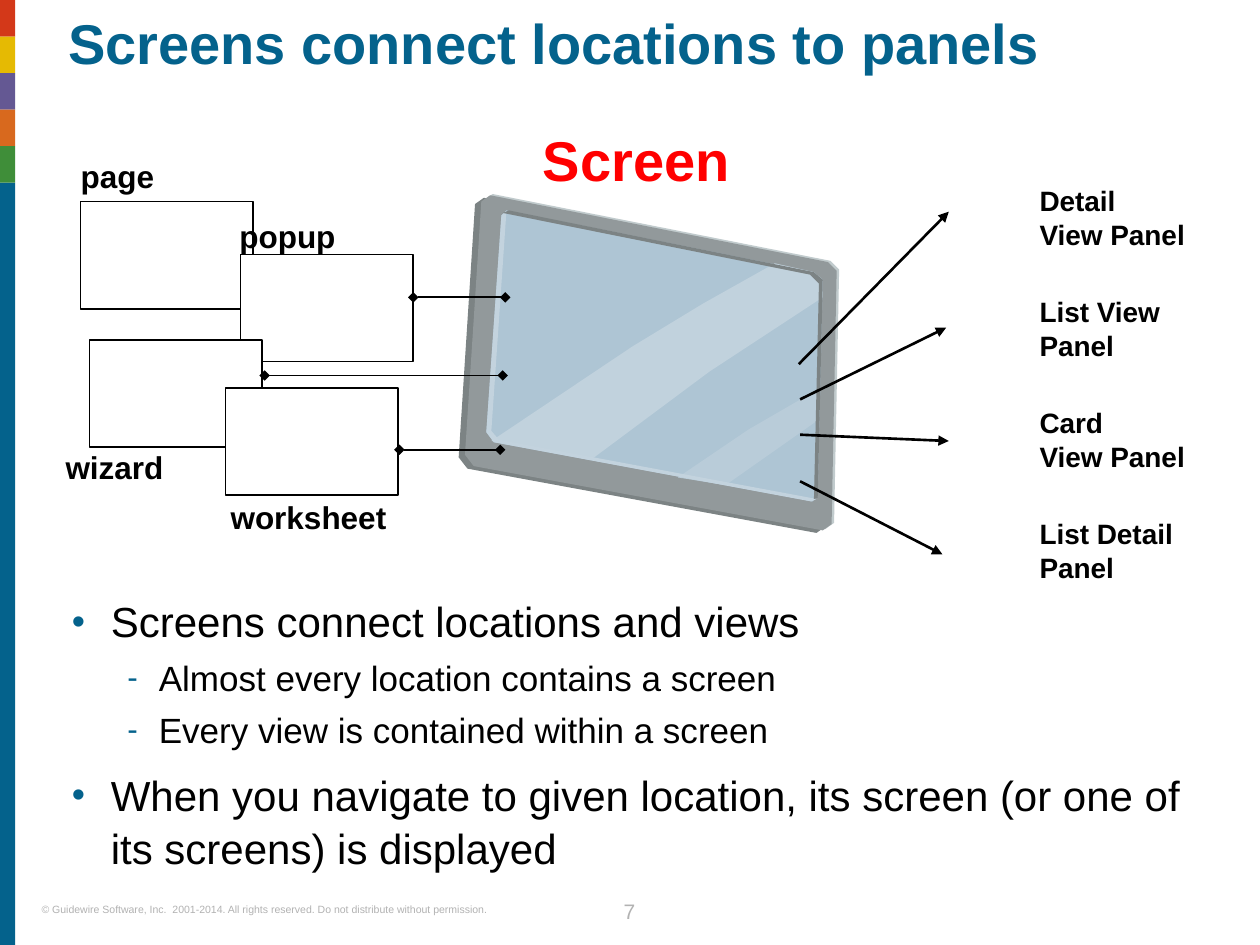
import pptx
import pptx.util
import pptx.dml.color
import pptx.enum.shapes
import pptx.enum.text
import pptx.oxml.ns
import lxml.etree

Inches = pptx.util.Inches
Pt = pptx.util.Pt
RGB = pptx.dml.color.RGBColor
ALIGN = pptx.enum.text.PP_ALIGN
qn = pptx.oxml.ns.qn

BLACK = RGB.from_string("000000")
WHITE = RGB.from_string("FFFFFF")
RED = RGB.from_string("FF0000")
GRAY = RGB.from_string("B2B2B2")
BLUE = RGB.from_string("04628C")
STRIPES = [RGB.from_string(c) for c in ("D33819", "E5BA03", "645893", "D8691E", "3F8E39")]
DARK_FRAME = RGB.from_string("7C8384")
FRAME = RGB.from_string("92999B")
FRAME_EDGE = RGB.from_string("C1CBCD")
GLASS = RGB.from_string("AEC5D4")
WIDE_GLARE = RGB.from_string("C1D2DD")
SMALL_GLARE = RGB.from_string("B9CCD9")
GLASS_EDGE = RGB.from_string("C3D3DE")

CASE = [(3.71, 3.6), (3.78, 3.69), (6.55, 4.2), (6.62, 4.15),
        (6.66, 2.14), (6.59, 2.07), (3.91, 1.54), (3.84, 1.59)]
CASE_LAYERS = [(DARK_FRAME, -0.07, 0.03), (FRAME_EDGE, 0, 0), (FRAME, -0.02, 0.01)]
SCREEN_PARTS = [
    (GLASS, [(3.86, 3.43), (3.92, 3.51), (6.45, 3.98), (6.49, 3.93),
             (6.53, 2.22), (6.46, 2.16), (4.02, 1.67), (3.98, 1.71)]),
    (WIDE_GLARE, [(6.15, 2.09), (5.58, 2.41), (5.02, 2.75), (3.9, 3.5), (4.69, 3.65),
                  (5.63, 2.95), (6.53, 2.36), (6.53, 2.22), (6.46, 2.16)]),
    (SMALL_GLARE, [(6.5, 3.33), (6.51, 3.08), (5.94, 3.41), (5.38, 3.79), (5.76, 3.85)]),
    (GLASS_EDGE, [(4.02, 1.67), (3.9, 3.42), (3.96, 3.49), (6.48, 3.96),
                  (6.44, 3.98), (3.92, 3.51), (3.86, 3.43), (3.98, 1.71)]),
    (DARK_FRAME, [(6.46, 3.96), (6.5, 2.25), (6.43, 2.18), (3.99, 1.69),
                  (4.04, 1.67), (6.46, 2.16), (6.53, 2.22), (6.49, 3.95)]),
]

LOCATION_BOXES = [(0.64, 1.6), (1.91, 2.02), (0.71, 2.7), (1.79, 3.08)]
LOCATION_LABELS = [("page", 0.64, 1.25), ("popup", 1.9, 1.72),
                   ("wizard", 0.52, 3.56), ("worksheet", 1.83, 3.95)]
LOCATION_LINKS = [(3.28, 4.01, 2.36), (2.1, 3.99, 2.98), (3.17, 3.97, 3.57)]
PANELS = ["Detail\nView Panel", "List View Panel", "Card\nView Panel", "List Detail Panel"]
PANEL_ARROWS = [(6.34, 2.89, 7.53, 1.68), (6.35, 3.45, 7.53, 3.5),
                (6.35, 3.17, 7.51, 2.6), (6.35, 3.82, 7.48, 4.4)]
BULLETS = [
    (0, "Screens connect locations and views"),
    (1, "Almost every location contains a screen"),
    (1, "Every view is contained within a screen"),
    (0, "When you navigate to given location, its screen (or one of its screens) is displayed"),
]
LEVELS = [("•", 24, 9.5, 0.31, 0.31), ("-", 20, 4.6, 0.69, 0.25)]


def add_run(p, text, size, color, bold=False):
    r = p.add_run()
    r.text = text
    r.font.name = "Arial"
    r.font.size = Pt(size)
    r.font.bold = bold
    r.font.color.rgb = color


def place(sp, x, y, w, h):
    sp.left, sp.top, sp.width, sp.height = (Inches(v) for v in (x, y, w, h))


def clear_frame(sp):
    tf = sp.text_frame
    tf.margin_left = tf.margin_right = tf.margin_top = tf.margin_bottom = 0
    tf.word_wrap = True
    tf.auto_size = pptx.enum.text.MSO_AUTO_SIZE.NONE
    tf.vertical_anchor = pptx.enum.text.MSO_ANCHOR.TOP
    return tf


def add_label(s, text, x, y, w, h, size, color=BLACK, bold=True):
    sp = s.shapes.add_textbox(Inches(x), Inches(y), Inches(w), Inches(h))
    p = clear_frame(sp).paragraphs[0]
    for i, line in enumerate(text.split("\n")):
        if i:
            p.add_line_break()
        add_run(p, line, size, color, bold)
    return p


def paint(sp, fill, line=None):
    sp.shadow.inherit = False
    sp.fill.solid()
    sp.fill.fore_color.rgb = fill
    if line is None:
        sp.line.fill.background()
    else:
        sp.line.color.rgb = line
        sp.line.width = Pt(1)


def add_rect(s, x, y, w, h, fill, line=None):
    sp = s.shapes.add_shape(pptx.enum.shapes.MSO_SHAPE.RECTANGLE,
                            Inches(x), Inches(y), Inches(w), Inches(h))
    paint(sp, fill, line)


def add_outline(s, fill, points, dx=0, dy=0):
    pts = [(Inches(x + dx), Inches(y + dy)) for x, y in points]
    builder = s.shapes.build_freeform(*pts[0])
    builder.add_line_segments(pts[1:], close=True)
    paint(builder.convert_to_shape(), fill)


def add_line(s, x1, y1, x2, y2, width, **ends):
    sp = s.shapes.add_connector(pptx.enum.shapes.MSO_CONNECTOR.STRAIGHT,
                                Inches(x1), Inches(y1), Inches(x2), Inches(y2))
    sp.line.color.rgb = BLACK
    sp.line.width = Pt(width)
    for end, kind in ends.items():
        lxml.etree.SubElement(sp.line._get_or_add_ln(), qn("a:" + end), type=kind)
    lxml.etree.SubElement(sp._element.spPr, qn("a:effectLst"))


def set_bullet(p, char, left, hanging):
    pPr = p._p.get_or_add_pPr()
    pPr.set("marL", str(Inches(left)))
    pPr.set("indent", str(-Inches(hanging)))
    color = lxml.etree.SubElement(pPr, qn("a:buClr"))
    lxml.etree.SubElement(color, qn("a:srgbClr"), val=str(BLUE))
    lxml.etree.SubElement(pPr, qn("a:buSzPct"), val="90000")
    lxml.etree.SubElement(pPr, qn("a:buFont"), typeface="Arial")
    lxml.etree.SubElement(pPr, qn("a:buChar"), char=char)


def fill_title(sp):
    place(sp, 0.54, 0.13, 9.1, 0.81)
    p = clear_frame(sp).paragraphs[0]
    p.alignment = ALIGN.LEFT
    p.line_spacing = 0.9
    add_run(p, "Screens connect locations to panels", 32, BLUE, True)


def fill_body(sp):
    place(sp, 0.57, 4.71, 9.1, 2.29)
    tf = clear_frame(sp)
    for i, (level, text) in enumerate(BULLETS):
        char, size, before, left, hanging = LEVELS[level]
        p = tf.add_paragraph() if i else tf.paragraphs[0]
        p.level = level
        set_bullet(p, char, left, hanging)
        p.line_spacing = 1.05
        p.space_before = Pt(before if i else 0)
        add_run(p, text, size, BLACK)


def add_frame(s):
    add_label(s, "© Guidewire Software, Inc.  2001-2014. All rights reserved. "
              "Do not distribute without permission.", 0.33, 7.17, 4.02, 0.1, 6, GRAY, False)
    add_rect(s, 0, 1.45, 0.12, 6.05, BLUE)
    for i, color in enumerate(STRIPES):
        add_rect(s, 0, 0.29 * i, 0.12, 0.29, color)
    p = add_label(s, "7", 4.71, 7.08, 0.57, 0.25, 12, GRAY, False)
    p.alignment = ALIGN.CENTER
    p.line_spacing = Pt(18)


def add_monitor(s):
    for fill, dx, dy in CASE_LAYERS:
        add_outline(s, fill, CASE, dx, dy)
    for fill, points in SCREEN_PARTS:
        add_outline(s, fill, points)
    add_label(s, "Screen", 4.31, 1, 1.6, 0.53, 32, RED)


def add_locations(s):
    for x, y in LOCATION_BOXES:
        add_rect(s, x, y, 1.37, 0.85, WHITE, BLACK)
    for text, x, y in LOCATION_LABELS:
        add_label(s, text, x, y, 1.39, 0.3, 18)
    for x1, x2, y in LOCATION_LINKS:
        add_line(s, x1, y, x2, y, 1, headEnd="diamond", tailEnd="diamond")


def add_panels(s):
    for i, text in enumerate(PANELS):
        add_label(s, text, 8.25, 1.46 + 0.88 * i, 1.42, 0.54, 16)
    for ends in PANEL_ARROWS:
        add_line(s, *ends, 1.5, tailEnd="triangle")


def main():
    prs = pptx.Presentation()
    prs.slide_width, prs.slide_height = Inches(10), Inches(7.5)
    s = prs.slides.add_slide(prs.slide_layouts[1])
    add_frame(s)
    fill_title(s.shapes.title)
    fill_body(s.placeholders[1])
    add_monitor(s)
    add_locations(s)
    add_panels(s)
    prs.save("out.pptx")


if __name__ == "__main__":
    main()
